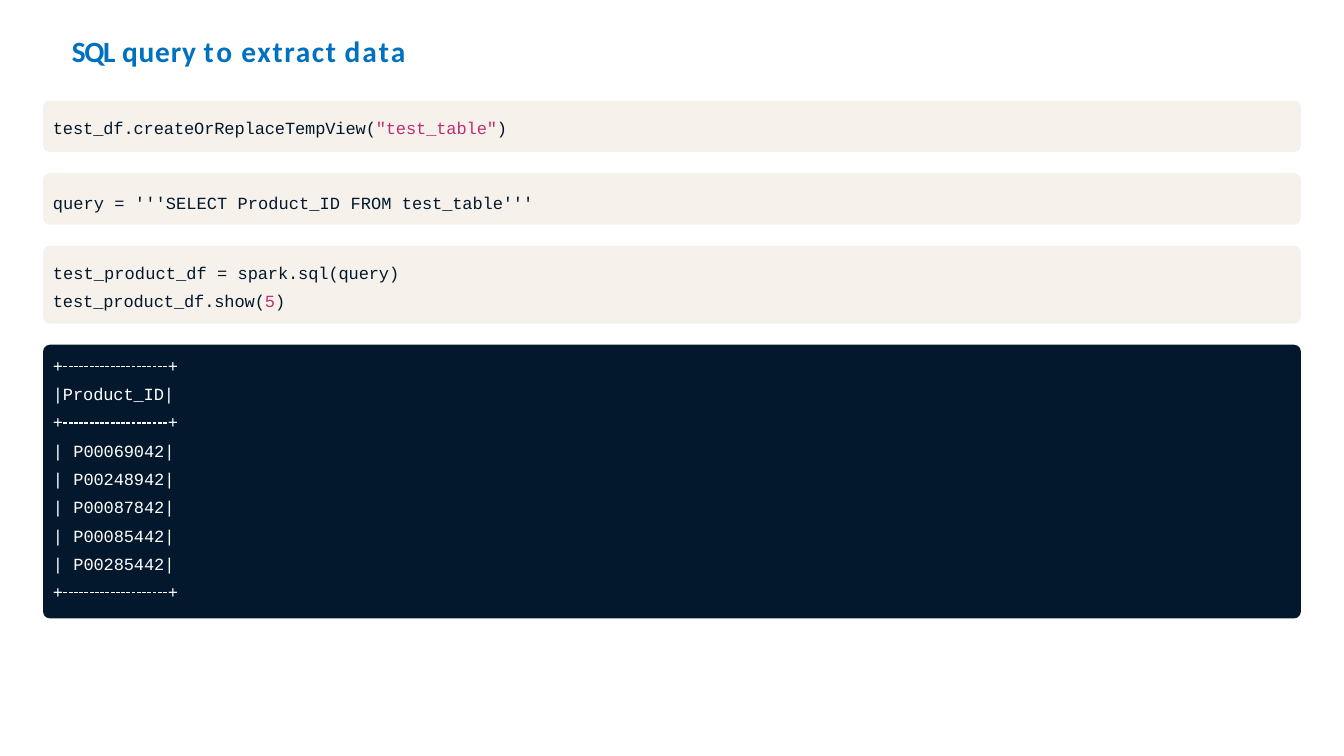
"""Build a slide that shows an SQL query, its code and its printed result."""
from lxml.etree import SubElement
from pptx import Presentation
from pptx.dml.color import RGBColor
from pptx.enum.dml import MSO_LINE
from pptx.enum.shapes import MSO_SHAPE
from pptx.enum.text import MSO_ANCHOR, MSO_AUTO_SIZE, PP_ALIGN
from pptx.oxml.ns import qn
from pptx.util import Inches, Pt

BLUE = RGBColor(0x00, 0x70, 0xC0)
CREAM = RGBColor(0xF6, 0xF2, 0xEB)
NAVY = RGBColor(0x04, 0x18, 0x2D)
PINK = RGBColor(0xBE, 0x2F, 0x72)
WHITE = RGBColor(0xFF, 0xFF, 0xFF)
DASH_WHITE = RGBColor(0xFE, 0xFE, 0xFE)

PANEL_LEFT, PANEL_TOP, PANEL_WIDTH = 0.57, 1.33, 16.64
PANEL_GAP, CORNER = 0.28, 0.09
PANELS = [(0.68, CREAM), (0.68, CREAM), (1.03, CREAM), (3.62, NAVY)]
TEXT_LEFT = 0.69
RULE_LEFT, RULE_RIGHT, FIRST_RULE, LAST_RULE = 0.84, 2.21, 4.85, 7.84
BORDER = "+\t+"

TITLE = [("SQL", -1.3), (" ", 0), ("query", 0.8), (" ", 0), ("to", 2.6), (" ", 0),
         ("extract", 1.6), (" ", 0), ("data", 2.1)]
CODE = [
    (1.4, 1, [("test_df.createOrReplaceTempView(", NAVY, -0.1),
              ('"test_table"', PINK, -0.1), (")", NAVY, -0.1)]),
    (52, 1, [("query = '''SELECT Product_ID FROM ", NAVY, 0.05), ("test_table'''", NAVY, -0.1)]),
    (40, 1.39, [("test_product_df = ", NAVY, 0.05), ("spark.sql(query)", NAVY, -0.1)]),
    (0, 1.39, [("test_product_df.show(", NAVY, -0.1), ("5", PINK, -0.1), (")", NAVY, -0.1)]),
]
PRODUCTS = ["P00069042", "P00248942", "P00087842", "P00085442", "P00285442"]
BORDER_RUNS = [(BORDER, WHITE, -0.5)]
RESULT = [
    BORDER_RUNS,
    [("|Product_ID|", WHITE, -0.1)],
    BORDER_RUNS,
    *[[("| ", WHITE, 0.05), (f"{product}|", WHITE, -0.1)] for product in PRODUCTS],
    BORDER_RUNS,
]


def add_run(paragraph, text, font_name, size, color, spacing, bold=False):
    """Add one formatted run with its letter spacing in points."""
    run = paragraph.add_run()
    run.text = text
    run.font.name, run.font.size, run.font.bold = font_name, Pt(size), bold
    run.font.color.rgb = color
    run.font._element.set("spc", str(round(spacing * 100)))


def prepare_frame(shape, top_inset):
    """Set the insets, anchor and wrapping of a text frame and return it."""
    frame = shape.text_frame
    frame.margin_left = frame.margin_right = frame.margin_bottom = 0
    frame.margin_top = Inches(top_inset)
    frame.vertical_anchor = MSO_ANCHOR.TOP
    frame.word_wrap = True
    frame.auto_size = MSO_AUTO_SIZE.SHAPE_TO_FIT_TEXT
    return frame


def format_paragraph(paragraph, space_before, line_spacing=1.0):
    """Left-align a paragraph and set its spacing and small indent."""
    paragraph.alignment = PP_ALIGN.LEFT
    paragraph.space_before = Pt(space_before)
    paragraph.line_spacing = line_spacing
    paragraph._p.get_or_add_pPr().set("marL", str(Inches(0.01)))


def add_tab_stop(paragraph, position):
    """Give a paragraph one left tab stop."""
    tab_list = SubElement(paragraph._p.get_or_add_pPr(), qn("a:tabLst"))
    SubElement(tab_list, qn("a:tab"), pos=str(Inches(position)), algn="l")


def add_title(slide):
    """Place and fill the title placeholder."""
    title = slide.shapes.title
    title.left, title.top, title.width, title.height = map(Inches, (0.94, 0.42, 16.7, 0.49))
    paragraph = prepare_frame(title, 0.02).paragraphs[0]
    format_paragraph(paragraph, 1.2)
    for text, spacing in TITLE:
        add_run(paragraph, text, "Calibri", 28, BLUE, spacing, bold=True)


def add_panels(slide):
    """Stack the rounded panels with equal gaps."""
    top = PANEL_TOP
    for height, color in PANELS:
        panel = slide.shapes.add_shape(
            MSO_SHAPE.ROUNDED_RECTANGLE,
            *map(Inches, (PANEL_LEFT, top, PANEL_WIDTH, height)))
        panel.adjustments[0] = CORNER / height
        panel.shadow.inherit = False
        panel.fill.solid()
        panel.fill.fore_color.rgb = color
        panel.line.fill.background()
        top += height + PANEL_GAP


def add_rules(slide):
    """Draw the dashed rules of all border rows as one open outline."""
    pitch = (LAST_RULE - FIRST_RULE) / (len(RESULT) - 1)
    heights = [FIRST_RULE + row * pitch for row, runs in enumerate(RESULT) if runs is BORDER_RUNS]
    builder = slide.shapes.build_freeform(Inches(RULE_LEFT), Inches(heights[0]))
    for index, height in enumerate(heights):
        if index:
            builder.move_to(Inches(RULE_LEFT), Inches(height))
        builder.add_line_segments([(Inches(RULE_RIGHT), Inches(height))], close=False)
    rules = builder.convert_to_shape()
    rules.shadow.inherit = False
    rules.fill.background()
    rules.line.color.rgb = DASH_WHITE
    rules.line.width = Pt(1.25)
    rules.line.dash_style = MSO_LINE.SQUARE_DOT


def add_listing(slide, box, top_inset, lines):
    """Add a monospaced listing from lines of spacing and runs."""
    frame = prepare_frame(slide.shapes.add_textbox(*map(Inches, box)), top_inset)
    for index, (space_before, line_spacing, runs) in enumerate(lines):
        paragraph = frame.add_paragraph() if index else frame.paragraphs[0]
        format_paragraph(paragraph, space_before, line_spacing)
        if runs is BORDER_RUNS:
            add_tab_stop(paragraph, 1.52)
        for text, color, spacing in runs:
            add_run(paragraph, text, "Courier New", 16.2, color, spacing)


def main():
    """Build and save the presentation."""
    presentation = Presentation()
    presentation.slide_width, presentation.slide_height = Inches(17.78), Inches(10)
    slide = presentation.slides.add_slide(presentation.slide_layouts[5])
    add_title(slide)
    add_panels(slide)
    add_rules(slide)
    add_listing(slide, (TEXT_LEFT, 1.53, 6.48, 2.58), 0.02, CODE)
    result_lines = [(7.5 if row else 8.4, 1, runs) for row, runs in enumerate(RESULT)]
    add_listing(slide, (TEXT_LEFT, 4.59, 1.68, 3.45), 0.11, result_lines)
    presentation.save("out.pptx")


if __name__ == "__main__":
    main()
